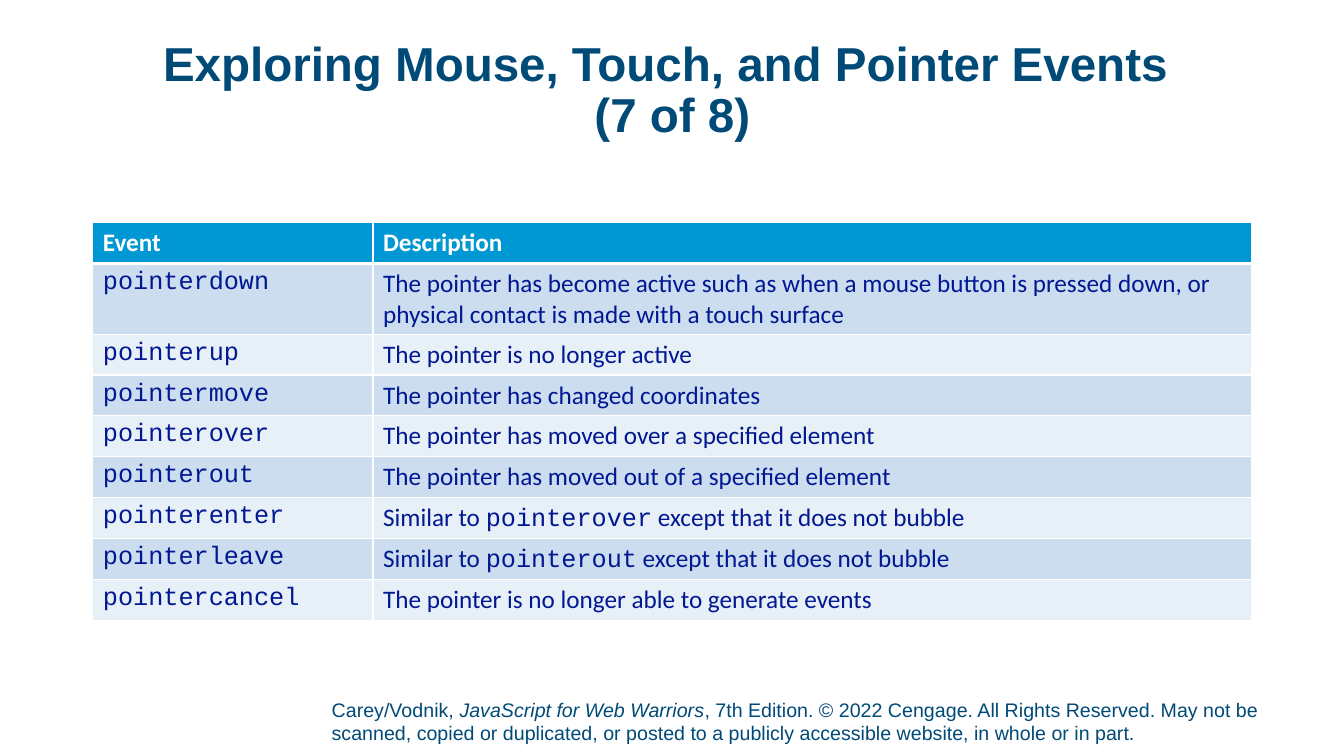
from pptx import Presentation
from pptx.dml.color import RGBColor
from pptx.enum.text import MSO_ANCHOR, PP_ALIGN
from pptx.oxml import parse_xml
from pptx.oxml.ns import nsdecls
from pptx.util import Cm, Pt

NAVY = RGBColor(0x00, 0x4A, 0x78)
INK = RGBColor(0x01, 0x18, 0x92)
HEADER_BLUE = RGBColor(0x00, 0x98, 0xD4)
BAND_DARK = RGBColor(0xCC, 0xDD, 0xEF)
BAND_LIGHT = RGBColor(0xE7, 0xEF, 0xF7)
WHITE = RGBColor(0xFF, 0xFF, 0xFF)

TITLE = {"name": "Arial", "size": Pt(34), "bold": True}
FOOTER = {"name": "Arial", "size": Pt(14)}
BOOK = {**FOOTER, "italic": True}
HEADER = {"name": "Calibri", "size": Pt(18), "bold": True}
BODY = {"name": "Calibri", "size": Pt(18), "bold": False}
CODE = {**BODY, "name": "Courier New"}

# Each description is a list of (text, format) runs
EVENTS = [
    ("pointerdown", [("The pointer has become active such as when a mouse button is "
                      "pressed down, or physical contact is made with a touch surface", BODY)]),
    ("pointerup", [("The pointer is no longer active", BODY)]),
    ("pointermove", [("The pointer has changed coordinates", BODY)]),
    ("pointerover", [("The pointer has moved over a specified element", BODY)]),
    ("pointerout", [("The pointer has moved out of a specified element", BODY)]),
    ("pointerenter", [("Similar to ", BODY), ("pointerover", CODE),
                      (" except that it does not bubble", BODY)]),
    ("pointerleave", [("Similar to ", BODY), ("pointerout", CODE),
                      (" except that it does not bubble", BODY)]),
    ("pointercancel", [("The pointer is no longer able to generate events", BODY)]),
]


def add_runs(paragraph, runs, color):
    for text, text_format in runs:
        run = paragraph.add_run()
        run.text = text
        for attribute, value in text_format.items():
            setattr(run.font, attribute, value)
        run.font.color.rgb = color


def add_text_box(slide, left, top, width, height, frame_format):
    shape = slide.shapes.add_textbox(Cm(left), Cm(top), Cm(width), Cm(height))
    settings = {"word_wrap": True, "margin_left": 0, "margin_right": 0,
                "margin_top": 0, "margin_bottom": 0, **frame_format}
    for attribute, value in settings.items():
        setattr(shape.text_frame, attribute, value)
    return shape.text_frame.paragraphs[0]


def add_border(cell, side, points):
    cell._tc.get_or_add_tcPr().append(parse_xml(
        f'<a:ln{side} {nsdecls("a")} w="{Pt(points)}"><a:solidFill>'
        f'<a:srgbClr val="{WHITE}"/></a:solidFill></a:ln{side}>'))


def fill_cell(cell, runs, fill, color, top_border=1, bottom_border=1):
    borders = {"L": 1, "R": 1, "T": top_border, "B": bottom_border}
    for side, points in borders.items():
        add_border(cell, side, points)
    cell.fill.solid()
    cell.fill.fore_color.rgb = fill
    add_runs(cell.text_frame.paragraphs[0], runs, color)


def add_event_table(slide):
    column_widths = [7.06, 22.15]
    row_count = len(EVENTS) + 1
    row_height = 1.03
    table = slide.shapes.add_table(
        row_count, len(column_widths), Cm(2.34), Cm(5.61),
        Cm(sum(column_widths)), Cm(row_height * row_count)).table
    for column, width in zip(table.columns, column_widths):
        column.width = Cm(width)
    for row in table.rows:
        row.height = Cm(row_height)

    # Header row
    for cell, heading in zip(table.rows[0].cells, ["Event", "Description"]):
        fill_cell(cell, [(heading, HEADER)], HEADER_BLUE, WHITE, bottom_border=3)

    # Banded event rows
    for index, (event, description) in enumerate(EVENTS, start=1):
        fill = BAND_DARK if index % 2 else BAND_LIGHT
        top_border = 3 if index == 1 else 1
        for column, runs in enumerate([[(event, CODE)], description]):
            fill_cell(table.cell(index, column), runs, fill, INK, top_border)


def main():
    presentation = Presentation()
    presentation.slide_width = Cm(33.87)
    presentation.slide_height = Cm(19.05)
    slide = presentation.slides.add_slide(presentation.slide_layouts[6])

    # Copyright line
    footer = add_text_box(slide, 8.36, 17.58, 24.87, 1.32, {
        "vertical_anchor": MSO_ANCHOR.BOTTOM, "margin_bottom": Cm(0.13)})
    add_runs(footer, [
        ("Carey/Vodnik, ", FOOTER),
        ("JavaScript for Web Warriors", BOOK),
        (", 7th Edition. © 2022 Cengage. All Rights Reserved. May not be scanned, copied or "
         "duplicated, or posted to a publicly accessible website, in whole or in part.", FOOTER),
    ], NAVY)

    # Title
    title = add_text_box(slide, 2.34, 1.02, 29.21, 1.88, {})
    title.alignment = PP_ALIGN.CENTER
    title.line_spacing = 0.9
    add_runs(title, [("Exploring Mouse, Touch, and Pointer Events ", TITLE)], NAVY)
    title.add_line_break()
    add_runs(title, [("(7 of 8)", TITLE)], NAVY)

    # Pointer events
    add_event_table(slide)
    presentation.save("out.pptx")


if __name__ == "__main__":
    main()
